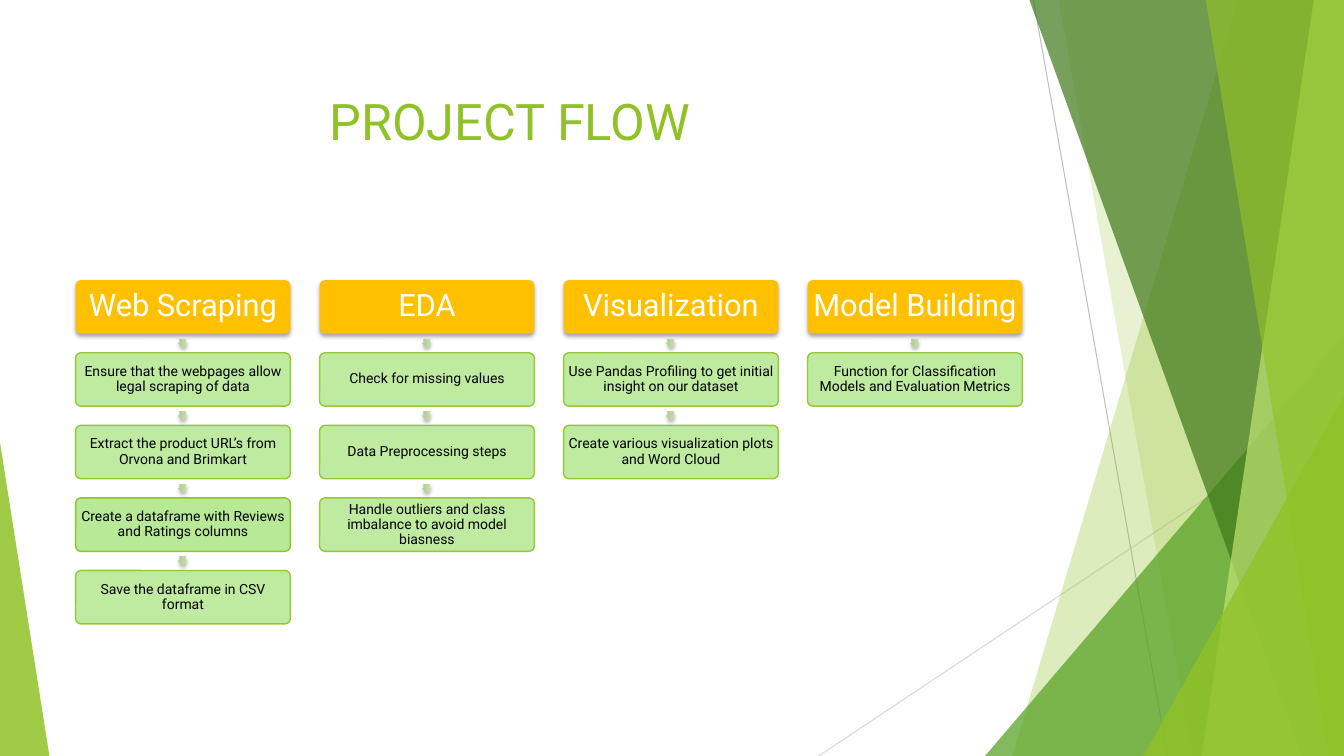
from lxml.etree import SubElement
from pptx import Presentation
from pptx.dml.color import RGBColor
from pptx.enum.shapes import MSO_CONNECTOR as Connector, MSO_SHAPE as Shape
from pptx.enum.text import MSO_ANCHOR as Anchor, PP_ALIGN as Align
from pptx.oxml.ns import qn
from pptx.util import Inches, Pt

FONT = "Roboto"
WHITE = RGBColor(0xFF, 0xFF, 0xFF)
BLACK = RGBColor(0, 0, 0)
GREEN = RGBColor(0x90, 0xC2, 0x26)
MID_GREEN = RGBColor(0x54, 0xA0, 0x21)
DARK_GREEN = RGBColor(0x3F, 0x78, 0x19)
LIME = RGBColor(0xC0, 0xE4, 0x74)
STEP_GREEN = RGBColor(0xB7, 0xE9, 0x96)
ARROW_LIGHT = RGBColor(0xC9, 0xDF, 0xB1)
ARROW_DARK = RGBColor(0xB6, 0xD0, 0x98)
AMBER = RGBColor(0xFF, 0xC0, 0x00)
GREY = RGBColor(0xBF, 0xBF, 0xBF)
LIGHT_GREY = RGBColor(0xD9, 0xD9, 0xD9)

WIDTH, HEIGHT = 13.33, 7.5
LEFT, TOP = 0.75, 2.78
BOX_WIDTH, BOX_HEIGHT = 2.13, 0.53
COLUMN_STEP, ROW_STEP = 2.42, 0.72
ARROW_SIZE, ARROW_RISE = 0.09, 0.14

SOLID_STEP = "Create a dataframe with Reviews and Ratings columns"
FLOW = {
    "Web Scraping": [
        "Ensure that the webpages allow legal scraping of data",
        "Extract the product URL’s from Orvona and Brimkart",
        SOLID_STEP,
        "Save the dataframe in CSV format",
    ],
    "EDA": [
        "Check for missing values",
        "Data Preprocessing steps",
        "Handle outliers and class imbalance to avoid model biasness",
    ],
    "Visualization": [
        "Use Pandas Profiling to get initial insight on our dataset",
        "Create various visualization plots and Word Cloud",
    ],
    "Model Building": ["Function for Classification Models and Evaluation Metrics"],
}


def set_opacity(shape, percent):
    """Apply one opacity to the fill and line colours of a shape."""
    for colour in list(shape.element.spPr.iter(qn("a:srgbClr"))):
        SubElement(colour, qn("a:alpha"), val=str(percent * 1000))


def add_shadow(shape):
    """Give a shape a soft shadow that falls straight down."""
    shape.shadow.inherit = False
    effects = shape.element.spPr.find(qn("a:effectLst"))
    shadow = SubElement(effects, qn("a:outerShdw"), blurRad=str(Pt(3)), dist=str(Pt(2)),
                        dir="5400000", algn="ctr", rotWithShape="0")
    colour = SubElement(shadow, qn("a:srgbClr"), val="000000")
    SubElement(colour, qn("a:alpha"), val="35000")


def paint(shape, colour, opacity=100, line=None):
    """Set a flat fill, an optional outline and the opacity of both."""
    shape.shadow.inherit = False
    shape.fill.solid()
    shape.fill.fore_color.rgb = colour
    if line is None:
        shape.line.fill.background()
    else:
        shape.line.color.rgb = line
        shape.line.width = Pt(1)
    if opacity < 100:
        set_opacity(shape, opacity)


def write(shape, text, size, colour, align=Align.CENTER, anchor=Anchor.MIDDLE,
          margins=(0.01, 0.01), spacing=0.9):
    """Put one formatted paragraph into a shape or text box."""
    frame = shape.text_frame
    frame.word_wrap = True
    frame.vertical_anchor = anchor
    frame.margin_left = frame.margin_right = Inches(margins[0])
    frame.margin_top = frame.margin_bottom = Inches(margins[1])
    para = frame.paragraphs[0]
    para.alignment = align
    para.line_spacing = spacing
    span = para.add_run()
    span.text = text
    span.font.name = FONT
    span.font.size = Pt(size)
    span.font.color.rgb = colour


def add_line(page, start, end, colour):
    """Draw a thin straight line."""
    line = page.shapes.add_connector(Connector.STRAIGHT, *map(Inches, start + end))
    line.line.color.rgb = colour
    line.line.width = Pt(0.75)
    SubElement(line.element.spPr, qn("a:effectLst"))


def add_facet(page, top_left, top_right, bottom_left, colour, opacity):
    """Draw a translucent facet that reaches the right edge of the slide."""
    corners = [(top_left, 0), (top_right, 0), (top_right, HEIGHT), (bottom_left, HEIGHT)]
    points = [(Inches(x), Inches(y)) for x, y in corners]
    builder = page.shapes.build_freeform(*points[0], scale=1.0)
    builder.add_line_segments(points[1:], close=True)
    paint(builder.convert_to_shape(), colour, opacity)


def add_triangle(page, left, top, width, peak, colour, opacity):
    """Draw a right triangle standing on the bottom edge of the slide."""
    triangle = page.shapes.add_shape(Shape.ISOSCELES_TRIANGLE, Inches(left), Inches(top),
                                     Inches(width), Inches(HEIGHT - top))
    triangle.adjustments[0] = peak
    paint(triangle, colour, opacity)


def add_backdrop(page):
    """Draw the lines and green facets around the content."""
    add_line(page, (10.25, 0), (11.58, HEIGHT), GREY)
    add_line(page, (WIDTH, 4.03), (8.12, HEIGHT), LIGHT_GREY)
    add_facet(page, 12.28, WIDTH, 10.04, GREEN, 30)
    add_facet(page, 10.5, WIDTH, 11.83, GREEN, 20)
    add_triangle(page, 9.77, 3.33, 3.56, 1, MID_GREEN, 72)
    add_facet(page, 10.21, WIDTH, 12.91, DARK_GREEN, 70)
    add_facet(page, 13.03, WIDTH, 11.92, LIME, 70)
    add_facet(page, 11.96, WIDTH, 13.18, GREEN, 65)
    add_triangle(page, 11.34, 3.93, 1.99, 1, GREEN, 80)
    add_triangle(page, 0, 4.39, 0.49, 0, GREEN, 85)


def add_box(page, left, top):
    """Add a rounded box of the flow."""
    box = page.shapes.add_shape(Shape.ROUNDED_RECTANGLE, Inches(left), Inches(top),
                                Inches(BOX_WIDTH), Inches(BOX_HEIGHT))
    box.adjustments[0] = 0.1
    return box


def add_header(page, text, left, top):
    """Add the shadowed heading of a column."""
    box = add_box(page, left, top)
    paint(box, AMBER)
    add_shadow(box)
    write(box, text, 22, WHITE, margins=(0.02, 0.02))


def add_arrow(page, left, top):
    """Add the small down-pointing arrow above a step."""
    arrow = page.shapes.add_shape(Shape.RIGHT_ARROW, Inches(left), Inches(top),
                                  Inches(ARROW_SIZE), Inches(ARROW_SIZE))
    arrow.rotation = 90
    arrow.adjustments[0] = 0.667
    arrow.fill.gradient()
    arrow.fill.gradient_angle = 270
    light, dark = arrow.fill.gradient_stops
    light.color.rgb, light.position = ARROW_LIGHT, 0
    dark.color.rgb, dark.position = ARROW_DARK, 0.78
    arrow.line.fill.background()
    add_shadow(arrow)


def add_step(page, text, left, top):
    """Add one step with its arrow."""
    add_arrow(page, left + (BOX_WIDTH - ARROW_SIZE) / 2, top - ARROW_RISE)
    box = add_box(page, left, top)
    paint(box, STEP_GREEN, 100 if text == SOLID_STEP else 90, line=GREEN)
    write(box, text, 10, BLACK)


def add_title(page, text):
    """Add the slide title."""
    box = page.shapes.add_textbox(Inches(3.17), Inches(0.84), Inches(9.17), Inches(1.41))
    write(box, text, 36, GREEN, align=Align.LEFT, anchor=Anchor.TOP,
          margins=(0.1, 0.05), spacing=1.0)


def main():
    """Build the project flow slide and save it."""
    deck = Presentation()
    deck.slide_width, deck.slide_height = Inches(WIDTH), Inches(HEIGHT)
    page = deck.slides.add_slide(deck.slide_layouts[6])
    add_backdrop(page)
    add_title(page, "PROJECT FLOW")
    for column, (heading, steps) in enumerate(FLOW.items()):
        left = LEFT + column * COLUMN_STEP
        add_header(page, heading, left, TOP)
        for row, step in enumerate(steps, start=1):
            add_step(page, step, left, TOP + row * ROW_STEP)
    deck.save("out.pptx")


main()
